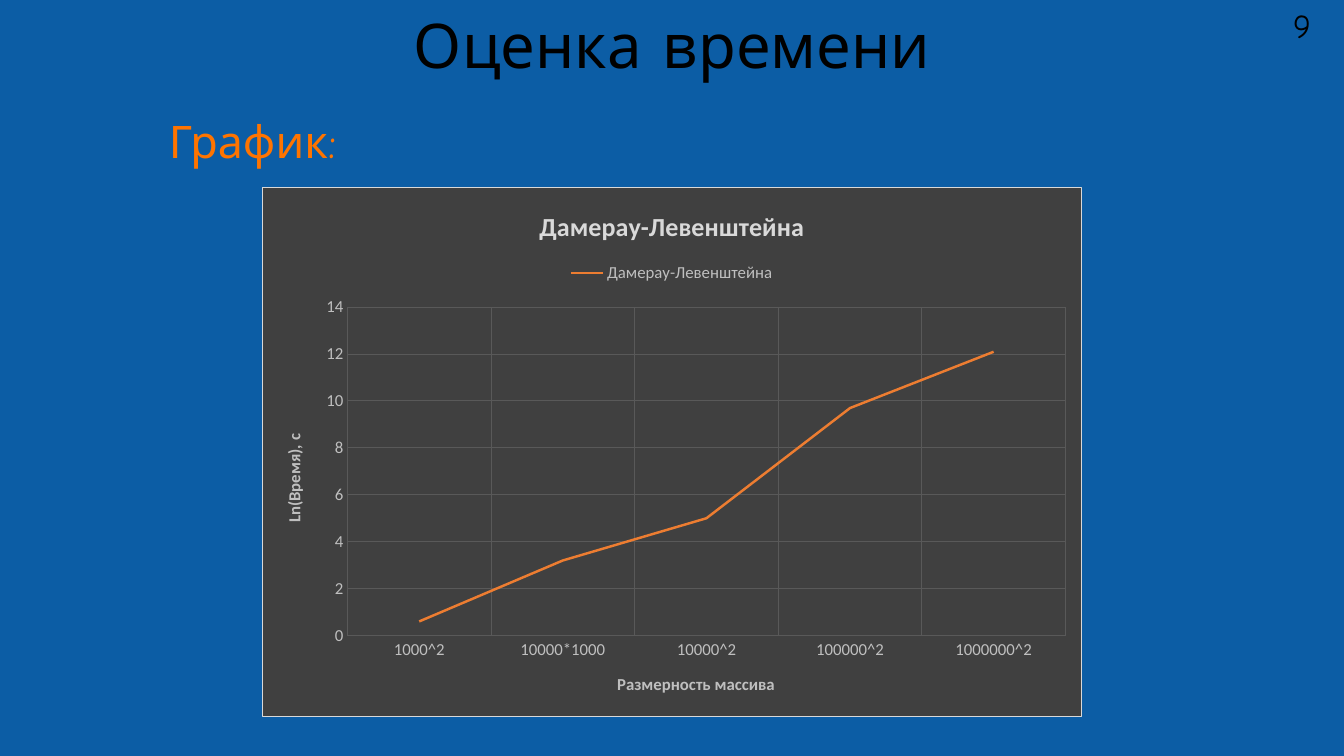
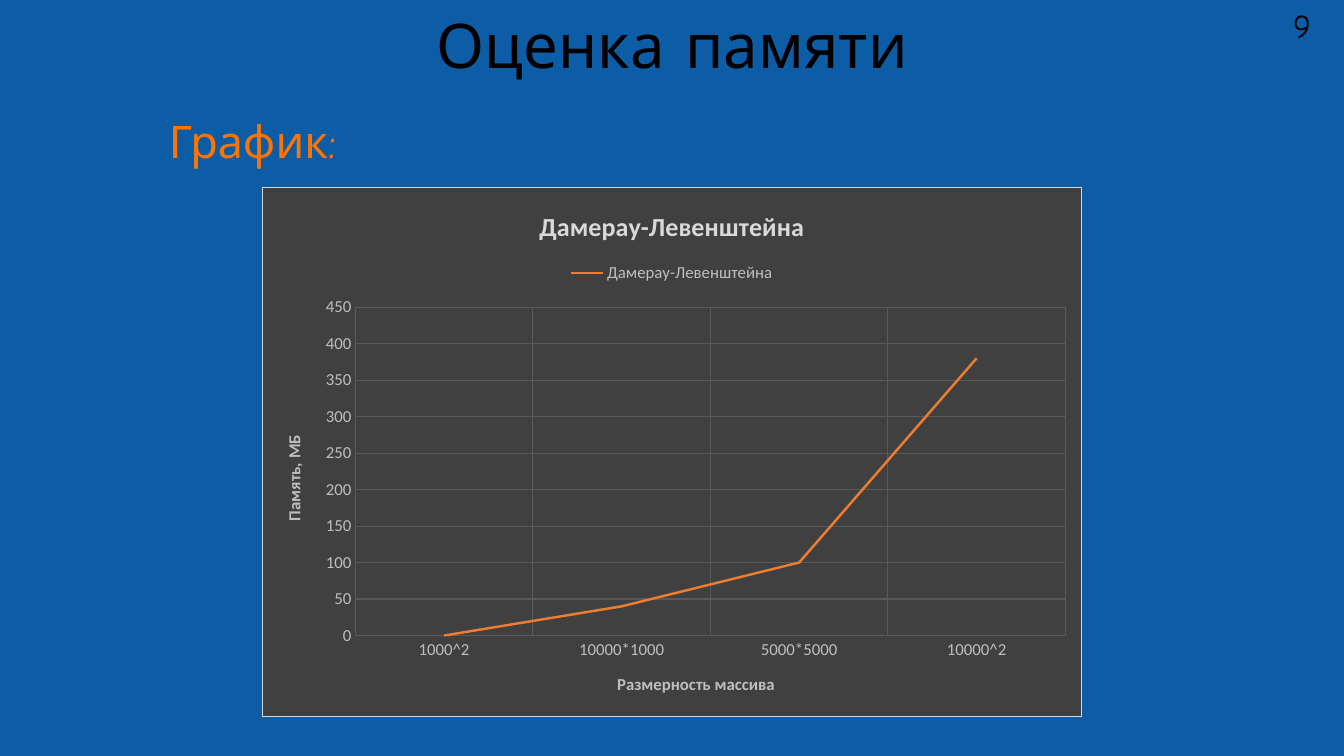
from lxml import etree
from pptx import Presentation
from pptx import util as u
from pptx.chart.data import CategoryChartData
from pptx.dml.color import RGBColor
from pptx.enum import chart as charts, text
from pptx.oxml import parse_xml
from pptx.oxml.ns import nsdecls, qn

PX = 914400 / 100.8
SLIDE_SIZE = (1344, 756)
TITLE_BOX = (218, -8, 909, 113)
NUMBER_BOX = (1260, 0, 84, 50)
HEADING_BOX = (159, 115, 238, 62)
CHART_BOX = (262, 187, 820, 530)
CATEGORY_TITLE_AT = (352, 483)
SLIDE_FONT = "Comic Neue"
CHART_FONT = "Calibri"
COLORS = {
    "background": "0C5DA5",
    "title": "000000",
    "heading": "FF7400",
    "panel": "404040",
    "border": "D9D9D9",
    "grid": "595959",
    "label": "BFBFBF",
    "series": "ED7D31",
}
ALGORITHM = "Дамерау-Левенштейна"
CATEGORY_TITLE = "Размерность массива"
SLIDES = [
    {
        "title": "Оценка времени",
        "value_title": "Ln(Время), с",
        "value_title_at": (17, 244),
        "points": {"1000^2": 0.6, "10000*1000": 3.2, "10000^2": 5,
                   "100000^2": 9.7, "1000000^2": 12.1},
        "scale": (14, 2),
        "plot": (85, 120, 719, 329),
    },
    {
        "title": "Оценка памяти",
        "value_title": "Память, МБ",
        "value_title_at": (17, 245),
        "points": {"1000^2": 0, "10000*1000": 40, "5000*5000": 100, "10000^2": 380},
        "scale": (450, 50),
        "plot": (93, 120, 711, 329),
    },
]


def emu(box):
    return [u.Emu(round(length * PX)) for length in box]


def color(name):
    return RGBColor.from_string(COLORS[name])


def style_font(font, size, color_name, name, bold=False):
    font.size = u.Pt(size)
    font.name = name
    font.bold = bold
    font.color.rgb = color(color_name)


def write(shape, wording, size, color_name, alignment):
    frame = shape.text_frame
    frame.word_wrap = True
    frame.text = wording
    paragraph = frame.paragraphs[0]
    paragraph.alignment = alignment
    style_font(paragraph.runs[0].font, size, color_name, SLIDE_FONT)
    return paragraph


def add_title(slide, box, wording):
    shape = slide.shapes.title
    shape.left, shape.top, shape.width, shape.height = emu(box)
    shape.text_frame.vertical_anchor = text.MSO_ANCHOR.MIDDLE
    paragraph = write(shape, wording, 44, "title", text.PP_ALIGN.CENTER)
    paragraph.line_spacing = 0.9


def add_number(slide, box, number):
    shape = slide.shapes.add_textbox(*emu(box))
    write(shape, number, 24, "title", text.PP_ALIGN.CENTER)


def add_heading(slide, box, wording):
    shape = slide.shapes.add_textbox(*emu(box))
    paragraph = write(shape, wording, 32, "heading", text.PP_ALIGN.LEFT)
    paragraph.line_spacing = 0.9
    paragraph.space_before = u.Pt(10)


def place_part(part, index, chart_box, box, inner=False):
    for old in part.findall(qn("c:layout")):
        part.remove(old)
    layout = etree.Element(qn("c:layout"))
    manual = etree.SubElement(layout, qn("c:manualLayout"))
    settings = [("layoutTarget", "inner")] if inner else []
    settings += [("xMode", "edge"), ("yMode", "edge")]
    sides = chart_box[2:] * 2
    settings += [(key, f"{length / side:.4f}")
                 for key, length, side in zip("xywh", box, sides)]
    for key, value in settings:
        etree.SubElement(manual, qn(f"c:{key}")).set("val", value)
    part.insert(index, layout)


def paint_panel(chart):
    panel = parse_xml(
        f'<c:spPr {nsdecls("c", "a")}>'
        f'<a:solidFill><a:srgbClr val="{COLORS["panel"]}"/></a:solidFill>'
        f'<a:ln w="9525"><a:solidFill><a:srgbClr val="{COLORS["border"]}"/>'
        '</a:solidFill></a:ln></c:spPr>')
    chart.element.find(qn("c:txPr")).addprevious(panel)


def write_chart_title(title, wording, size, color_name):
    title.text_frame.text = wording
    run = title.text_frame.paragraphs[0].runs[0]
    style_font(run.font, size, color_name, CHART_FONT, True)


def style_axis(axis, wording):
    axis.major_tick_mark = axis.minor_tick_mark = charts.XL_TICK_MARK.NONE
    axis.has_major_gridlines = True
    grid = axis.major_gridlines.format.line
    grid.color.rgb = color("grid")
    grid.width = u.Pt(0.75)
    axis.format.line.fill.background()
    style_font(axis.tick_labels.font, 12, "label", CHART_FONT)
    write_chart_title(axis.axis_title, wording, 12, "label")


def add_line_chart(slide, box, details):
    data = CategoryChartData()
    data.categories = list(details["points"])
    data.add_series(ALGORITHM, list(details["points"].values()))
    chart = slide.shapes.add_chart(
        charts.XL_CHART_TYPE.LINE_STACKED, *emu(box), data).chart
    style_font(chart.font, 10, "title", CHART_FONT)
    paint_panel(chart)
    chart.has_title = True
    write_chart_title(chart.chart_title, ALGORITHM, 18.6, "border")
    chart.has_legend = True
    chart.legend.position = charts.XL_LEGEND_POSITION.TOP
    chart.legend.include_in_layout = False
    style_font(chart.legend.font, 12, "label", CHART_FONT)
    style_axis(chart.category_axis, CATEGORY_TITLE)
    style_axis(chart.value_axis, details["value_title"])
    chart.value_axis.minimum_scale = 0
    chart.value_axis.maximum_scale, chart.value_axis.major_unit = details["scale"]
    plot = chart.plots[0]
    plot.vary_by_categories = False
    series = plot.series[0]
    series.smooth = False
    series.marker.style = charts.XL_MARKER_STYLE.NONE
    series.format.line.color.rgb = color("series")
    series.format.line.width = u.Pt(1.75)
    area = chart.element.find(f".//{qn('c:plotArea')}")
    place_part(area, 0, box, details["plot"], inner=True)
    for axis, position in (("c:catAx", CATEGORY_TITLE_AT),
                           ("c:valAx", details["value_title_at"])):
        title = area.find(qn(axis)).find(qn("c:title"))
        place_part(title, 1, box, position)


def add_chart_slide(presentation, details):
    slide = presentation.slides.add_slide(presentation.slide_layouts[5])
    add_title(slide, TITLE_BOX, details["title"])
    add_number(slide, NUMBER_BOX, "9")
    add_heading(slide, HEADING_BOX, "График:")
    add_line_chart(slide, CHART_BOX, details)


def main():
    presentation = Presentation()
    presentation.slide_width, presentation.slide_height = emu(SLIDE_SIZE)
    background = presentation.slide_master.background.fill
    background.solid()
    background.fore_color.rgb = color("background")
    for details in SLIDES:
        add_chart_slide(presentation, details)
    presentation.save("out.pptx")


if __name__ == "__main__":
    main()
